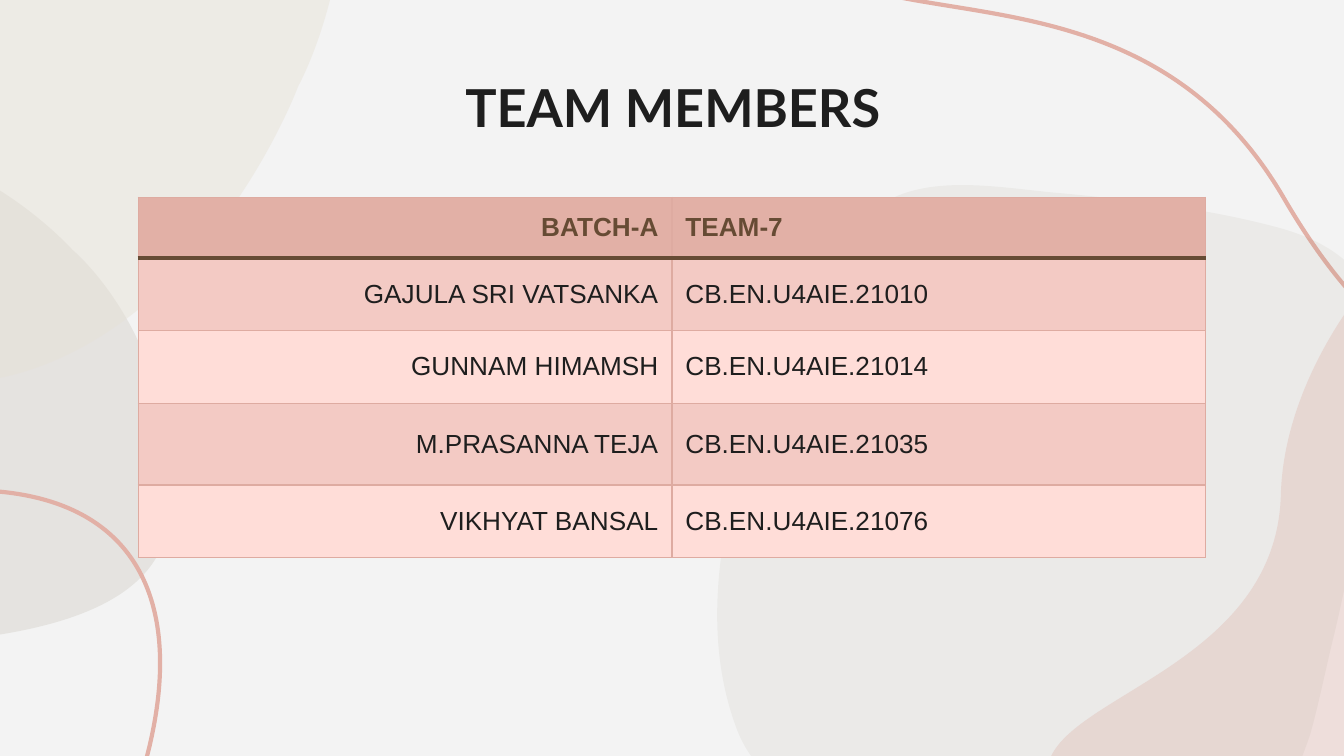
"""Build the team members slide: organic blobs, a title and a table."""
from lxml import etree
from pptx import Presentation
from pptx.dml.color import RGBColor
from pptx.enum.text import MSO_ANCHOR, PP_ALIGN
from pptx.oxml.ns import qn
from pptx.util import Pt

MIDDLE = MSO_ANCHOR.MIDDLE
LEFT, CENTER, RIGHT = PP_ALIGN.LEFT, PP_ALIGN.CENTER, PP_ALIGN.RIGHT

PAPER = RGBColor(0xF3, 0xF3, 0xF3)
INK = RGBColor(0x1E, 0x1E, 0x1E)
BROWN = RGBColor(0x66, 0x4B, 0x34)
ROSE = RGBColor(0xE2, 0xB0, 0xA6)
EDGE = RGBColor(0xDE, 0xAB, 0xA1)
DARK = RGBColor(0xF3, 0xCA, 0xC4)
LIGHT = RGBColor(0xFF, 0xDD, 0xD8)
TAUPE = RGBColor(0x88, 0x7C, 0x62)
BLUSH = RGBColor(0xE6, 0xB8, 0xAF)
SAND = RGBColor(0xE7, 0xE2, 0xD6)

UNIT = Pt(0.72)

LEFT_BLOB = (-99, 110), [
    (-124, 110, -150, 117, -177, 134), (-294, 209, -325, 281, -325, 281),
    (-325, 281, -329, 329, -381, 329), (-383, 329, -385, 329, -387, 328),
    (-395, 328, -402, 328, -410, 328), (-456, 328, -488, 339, -491, 354),
    (-495, 371, -458, 420, -414, 440), (-377, 456, -324, 494, -273, 494),
    (-264, 494, -254, 493, -244, 489), (-186, 469, 117, 513, 126, 383),
    (135, 253, 54, 186, 54, 186), (54, 186, -14, 110, -99, 110)]
PINK_BLOB = (902, 817), [
    (824, 783, 873, 687, 799, 612), (710, 522, 948, 524, 953, 369),
    (956, 233, 1111, 91, 1182, 121), (1192, 126, 1201, 134, 1207, 145),
    (1222, 174, 1238, 187, 1254, 194), (1272, 202, 1290, 202, 1305, 209),
    (1321, 216, 1334, 229, 1342, 267), (1413, 616, 1471, 649, 1471, 649),
    (1441, 847, 1144, 833, 971, 829), (941, 828, 919, 824, 902, 817)]
TOP_CURVE = (510, -273), [
    (510, -273, 539, -87, 595, -33), (661, 31, 851, -31, 955, 147),
    (1058, 324, 1168, 311, 1242, 184)]
TOP_BLOB = (34, 271), [
    (-4, 286, -49, 291, -100, 281), (-324, 236, -414, 144, -414, 144),
    (-414, 144, -448, 73, -528, 104), (-531, 105, -535, 107, -538, 108),
    (-550, 114, -561, 118, -572, 123), (-643, 150, -699, 152, -713, 131),
    (-729, 107, -701, 10, -645, -47), (-598, -94, -540, -183, -462, -213),
    (-447, -219, -431, -222, -415, -223), (-313, -228, 124, -474, 215, -281),
    (307, -88, 222, 64, 222, 64), (222, 64, 164, 220, 34, 271)]
LOW_CURVE = (-771, 358), [
    (-771, 358, -611, 242, -530, 244), (-433, 247, -339, 434, -131, 380),
    (78, 327, 149, 418, 108, 568)]
GREY_BLOB = (555, 331), [
    (556, 329, 557, 327, 557, 325), (559, 321, 560, 316, 562, 312),
    (580, 253, 606, 180, 661, 149), (698, 129, 752, 141, 792, 144),
    (844, 149, 896, 155, 946, 168), (1015, 185, 1037, 226, 1026, 294),
    (1016, 353, 1007, 412, 993, 471), (987, 495, 982, 521, 975, 546),
    (968, 567, 960, 586, 948, 603), (920, 642, 874, 647, 829, 642),
    (774, 636, 719, 624, 663, 615), (615, 608, 564, 589, 547, 539),
    (523, 472, 535, 398, 555, 331)]

ROWS = [
    ("BATCH-A", "TEAM-7"),
    ("GAJULA SRI VATSANKA", "CB.EN.U4AIE.21010"),
    ("GUNNAM HIMAMSH", "CB.EN.U4AIE.21014"),
    ("M.PRASANNA TEJA", "CB.EN.U4AIE.21035"),
    ("VIKHYAT BANSAL", "CB.EN.U4AIE.21076"),
]
HEIGHTS = [32.4, 38.9, 38.9, 43.9, 38.9]


def add_path(slide, outline, close):
    """Draw a chain of cubic curves as a freeform without a shadow."""
    start, curves = outline
    pen = slide.shapes.build_freeform(*start, scale=UNIT)
    knots = [curve[i:i + 2] for curve in curves for i in (0, 2, 4)]
    pen.add_line_segments(knots, close=close)
    shape = pen.convert_to_shape()
    shape.shadow.inherit = False
    lines = list(shape._element.iter(qn("a:lnTo")))[:len(knots)]
    for i in range(0, len(lines), 3):
        bend = etree.Element(qn("a:cubicBezTo"))
        lines[i].addprevious(bend)
        for line in lines[i:i + 3]:
            bend.append(line[0])
            line.getparent().remove(line)
    return shape


def add_blob(slide, outline, color, alpha):
    """Add a closed, see-through blob; alpha is in percent."""
    shape = add_path(slide, outline, True)
    shape.line.fill.background()
    shape.fill.solid()
    shape.fill.fore_color.rgb = color
    tone = shape._element.spPr.find(qn("a:solidFill"))[0]
    etree.SubElement(tone, qn("a:alpha"), val=str(alpha * 1000))


def add_curve(slide, outline):
    """Add an open rose curve."""
    shape = add_path(slide, outline, False)
    shape.fill.background()
    shape.line.color.rgb = ROSE
    shape.line.width = Pt(2.25)


def style(para, font, size, color, bold, align):
    """Set the look of one paragraph."""
    para.alignment = align
    para.font.name = font
    para.font.size = Pt(size)
    para.font.color.rgb = color
    para.font.bold = bold


def add_title(slide, text):
    """Add the centred slide title."""
    frame = slide.shapes.add_textbox(Pt(56.9), Pt(34.6), Pt(607), Pt(45.4)).text_frame
    frame.word_wrap = True
    frame.vertical_anchor = MIDDLE
    frame.text = text
    style(frame.paragraphs[0], "Lato", 28, INK, True, CENTER)


def add_edge(cell, side, color, width):
    """Add one border line to a cell."""
    line = etree.SubElement(cell._tc.get_or_add_tcPr(), qn("a:ln" + side), w=str(Pt(width)))
    fill = etree.SubElement(line, qn("a:solidFill"))
    etree.SubElement(fill, qn("a:srgbClr"), val=str(color))


def fill_cell(cell, text, row, col):
    """Write and colour one table cell."""
    head = row == 0
    for side in "LRTB":
        rule = (row, side) in ((0, "B"), (1, "T"))
        add_edge(cell, side, BROWN if rule else EDGE, 2 if rule else 0.75)
    cell.fill.solid()
    cell.fill.fore_color.rgb = ROSE if head else DARK if row % 2 else LIGHT
    cell.vertical_anchor = MIDDLE
    cell.text = text
    align = LEFT if col else RIGHT
    style(cell.text_frame.paragraphs[0], "Arial", 14, BROWN if head else INK, head, align)


def add_team(slide):
    """Add the table of members and roll numbers."""
    frame = slide.shapes.add_table(
        len(ROWS), 2, Pt(74.1), Pt(105.8), Pt(571.8), Pt(sum(HEIGHTS)))
    table = frame.table
    table.horz_banding = False
    for row, (texts, height) in enumerate(zip(ROWS, HEIGHTS)):
        table.rows[row].height = Pt(height)
        for col, text in enumerate(texts):
            fill_cell(table.cell(row, col), text, row, col)


def main():
    """Build and save the slide."""
    deck = Presentation()
    deck.slide_width, deck.slide_height = Pt(720), Pt(405)
    slide = deck.slides.add_slide(deck.slide_layouts[6])
    slide.background.fill.solid()
    slide.background.fill.fore_color.rgb = PAPER
    add_blob(slide, LEFT_BLOB, TAUPE, 13)
    add_blob(slide, PINK_BLOB, BLUSH, 34)
    add_curve(slide, TOP_CURVE)
    add_blob(slide, TOP_BLOB, SAND, 46)
    add_curve(slide, LOW_CURVE)
    add_blob(slide, GREY_BLOB, TAUPE, 7)
    add_title(slide, "TEAM MEMBERS")
    add_team(slide)
    deck.save("out.pptx")


if __name__ == "__main__":
    main()
